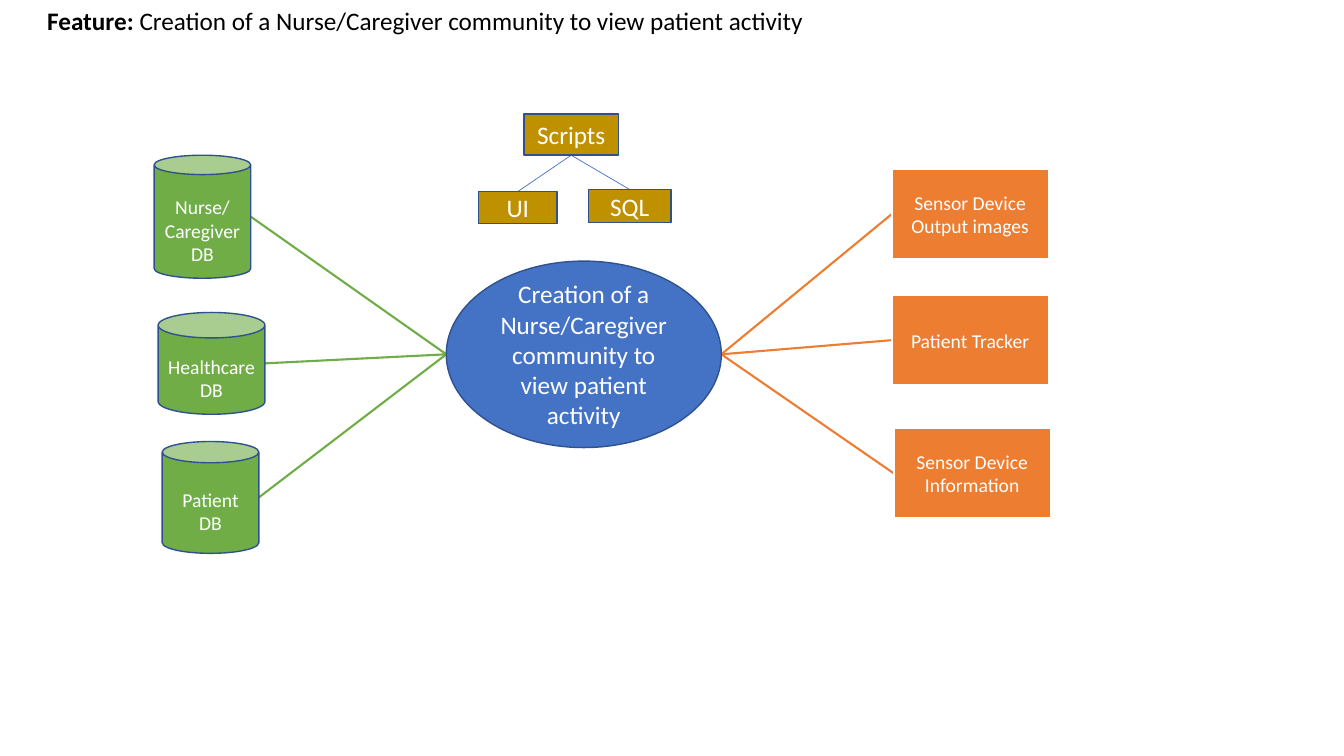
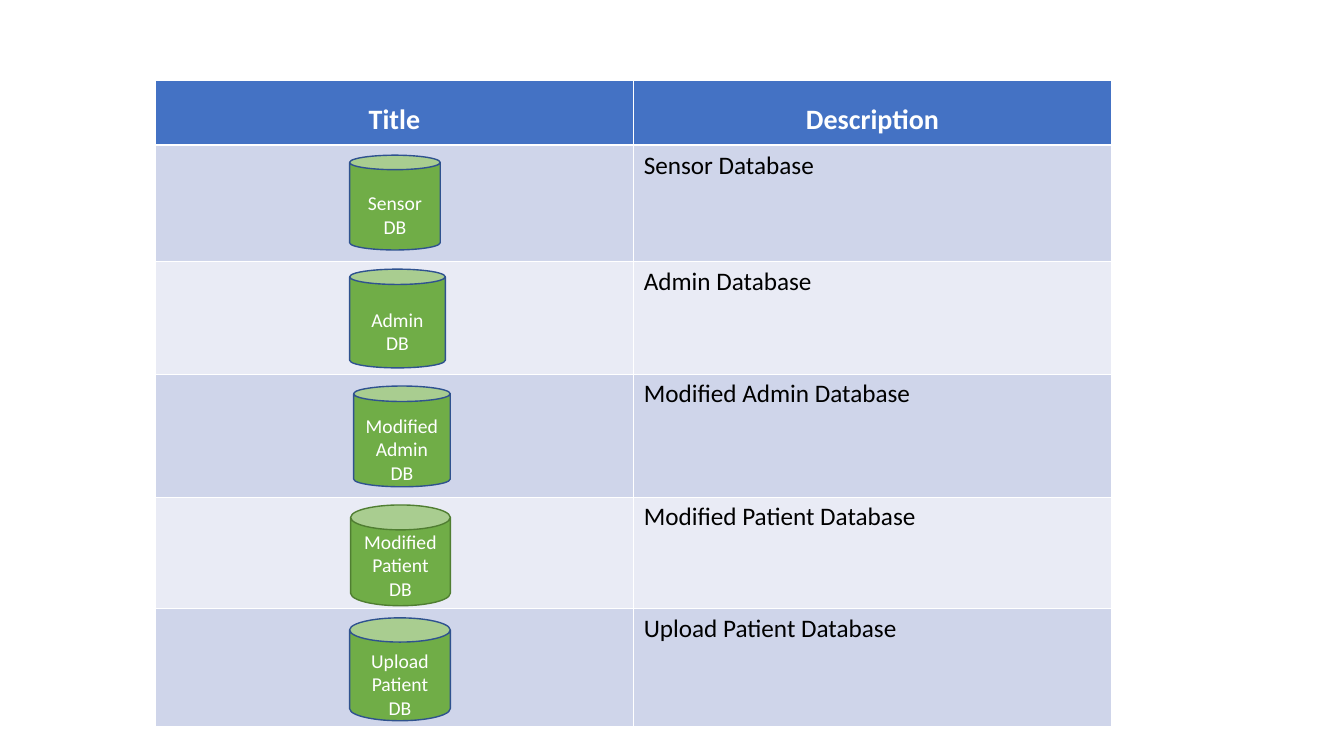
from dataclasses import dataclass

from lxml import etree
from pptx import Presentation
from pptx import util as u
from pptx.dml.color import RGBColor
from pptx.enum import shapes, text
from pptx.oxml import ns

# Layout grid: square cells, ten to the inch
COLS, ROWS = 133.4, 75
CELL = u.Inches(0.1)

FONT = "Calibri"
WHITE, BLACK = "FFFFFF", "000000"
BLUE, NAVY = "4472C4", "2F528F"
GREEN, DARK_GREEN = "70AD47", "507E32"
ORANGE, GOLD = "ED7D31", "BF9000"
BANDS = "CFD5EA", "E9EBF5"

Point = tuple[float, float]


@dataclass(frozen=True)
class Node:
    """A labelled shape, placed in grid columns and rows."""
    label: str
    x: float
    y: float
    w: float
    h: float
    kind: shapes.MSO_SHAPE = shapes.MSO_SHAPE.RECTANGLE
    fill: str = GOLD
    line: str = NAVY
    line_pt: float = 1
    size: int = 18
    lid: float | None = None
    drop: float = 0

    @property
    def left(self) -> Point:
        return self.x, self.y + self.h / 2

    @property
    def right(self) -> Point:
        return self.x + self.w, self.y + self.h / 2

    @property
    def top(self) -> Point:
        return self.x + self.w / 2, self.y

    @property
    def bottom(self) -> Point:
        return self.x + self.w / 2, self.y + self.h


def database(label: str, x: float, y: float, w: float, h: float, lid: float,
             drop: float = 1.7, line: str = NAVY) -> Node:
    """A cylinder whose label is lowered to clear the lid."""
    return Node(label, x, y, w, h, shapes.MSO_SHAPE.CAN, GREEN, line,
                size=14, lid=lid, drop=drop)


def output(label: str, x: float, y: float) -> Node:
    return Node(label, x, y, 15.6, 8.9, fill=ORANGE, line=WHITE, line_pt=1.5, size=14)


FEATURE = "Creation of a Nurse/Caregiver community to view patient activity"
HUB = Node(FEATURE, 44.3, 25.9, 27.3, 18.5, shapes.MSO_SHAPE.OVAL, BLUE)
SCRIPTS = Node("Scripts", 52, 11.3, 9.4, 4.1)
SCRIPT_KINDS = [Node("UI", 47.5, 19, 7.8, 3.2), Node("SQL", 58.4, 18.8, 8.2, 3.3)]
SOURCES = [
    database("Nurse/Caregiver DB", 15.3, 15.4, 9.6, 12.2, 0.2),
    database("Healthcare DB", 15.7, 31, 10.6, 10.1, 0.25),
    database("Patient DB", 16.1, 43.8, 9.6, 11.1, 0.22),
]
OUTPUTS = [
    output("Sensor Device Output images", 88.5, 16.8),
    output("Patient Tracker", 88.5, 29.3),
    output("Sensor Device Information", 88.7, 42.5),
]

TABLE_X, TABLE_Y = 15.4, 8
COLUMN_WIDTHS = 47.5, 47.4
HEADINGS, HEADING_HEIGHT = ("Title", "Description"), 6.4
CATALOGUE = [  # description, row height, cylinder
    ("Sensor Database", 11.5, database("Sensor DB", 34.7, 15.4, 9, 9.4, 0.16)),
    ("Admin Database", 11.2, database("Admin\nDB", 34.7, 26.7, 9.5, 9.8, 0.16)),
    ("Modified Admin Database", 12.2,
     database("Modified Admin DB", 35.1, 38.3, 9.6, 10, 0.16)),
    ("Modified Patient Database", 11.1,
     database("Modified Patient DB", 34.8, 50.1, 9.9, 10, 0.25, 0.7, DARK_GREEN)),
    ("Upload Patient Database", 11.7,
     database("Upload\nPatient DB", 34.7, 61.3, 10, 10.2, 0.24)),
]


def grid(*cells: float) -> list[u.Emu]:
    return [u.Emu(round(c * CELL)) for c in cells]


def rgb(value: str) -> RGBColor:
    return RGBColor.from_string(value)


def style(p, size: int, color: str, bold: bool | None = None) -> None:
    p.font.name, p.font.size, p.font.bold = FONT, u.Pt(size), bold
    p.font.color.rgb = rgb(color)


def draw_node(s, node: Node) -> None:
    sp = s.shapes.add_shape(node.kind, *grid(node.x, node.y, node.w, node.h))
    sp.shadow.inherit = False
    sp.fill.solid()
    sp.fill.fore_color.rgb = rgb(node.fill)
    sp.line.color.rgb = rgb(node.line)
    sp.line.width = u.Pt(node.line_pt)
    if node.lid is not None:
        sp.adjustments[0] = node.lid
    tf = sp.text_frame
    tf.word_wrap = True
    tf.vertical_anchor = text.MSO_ANCHOR.MIDDLE
    tf.margin_top = grid(0.5 + node.drop)[0]
    tf.text = node.label
    for p in tf.paragraphs:
        p.alignment = text.PP_ALIGN.CENTER
        style(p, node.size, WHITE)


def draw_link(s, start: Point, end: Point, color: str, width: float = 1.5) -> None:
    link = s.shapes.add_connector(shapes.MSO_CONNECTOR.STRAIGHT, *grid(*start, *end))
    link.line.color.rgb = rgb(color)
    link.line.width = u.Pt(width)
    etree.SubElement(link._element.spPr, ns.qn("a:effectLst"))


def draw_title(s, lead: str, title: str) -> None:
    tf = s.shapes.add_textbox(*grid(3.7, 0, 124.8, 13)).text_frame
    tf.word_wrap = True
    p = tf.paragraphs[0]
    style(p, 18, BLACK)
    r = p.add_run()
    r.text, r.font.bold = lead, True
    p.add_run().text = title


def set_borders(cell, top: float, bottom: float) -> None:
    """White cell edges; call before filling, since fills follow edges."""
    tc_pr = cell._tc.get_or_add_tcPr()
    for side, width in (("L", 0.45), ("R", 0.45), ("T", top), ("B", bottom)):
        ln = etree.SubElement(tc_pr, ns.qn(f"a:ln{side}"), w=str(u.Pt(width)))
        fill = etree.SubElement(ln, ns.qn("a:solidFill"))
        etree.SubElement(fill, ns.qn("a:srgbClr"), val=WHITE)


def draw_table(s) -> None:
    heights = [HEADING_HEIGHT] + [height for _, height, _ in CATALOGUE]
    rows = [HEADINGS] + [("", description) for description, _, _ in CATALOGUE]
    frame = s.shapes.add_table(
        len(rows), len(COLUMN_WIDTHS),
        *grid(TABLE_X, TABLE_Y, sum(COLUMN_WIDTHS), sum(heights)))
    table = frame.table
    for column, width in zip(table.columns, grid(*COLUMN_WIDTHS)):
        column.width = width
    for i, (row, height, labels) in enumerate(zip(table.rows, grid(*heights), rows)):
        row.height = height
        heading = i == 0
        for cell, label in zip(row.cells, labels):
            set_borders(cell, 1.47 if i == 1 else 0.45, 1.47 if heading else 0.45)
            cell.fill.solid()
            cell.fill.fore_color.rgb = rgb(BLUE if heading else BANDS[(i - 1) % 2])
            cell.text = label
            p = cell.text_frame.paragraphs[0]
            if heading:
                p.alignment, p.line_spacing = text.PP_ALIGN.CENTER, 1.5
                style(p, 20, WHITE, True)
            else:
                style(p, 18, BLACK, False)


def build_feature_map(s) -> None:
    for source in SOURCES:
        draw_link(s, source.right, HUB.left, GREEN)
    for target in OUTPUTS:
        draw_link(s, HUB.right, target.left, ORANGE)
    for kind in SCRIPT_KINDS:
        draw_link(s, SCRIPTS.bottom, kind.top, BLUE, 0.5)
    for node in [HUB, SCRIPTS, *SCRIPT_KINDS, *SOURCES, *OUTPUTS]:
        draw_node(s, node)
    draw_title(s, "Feature: ", FEATURE)


def build_catalogue(s) -> None:
    draw_table(s)
    for _, _, cylinder in CATALOGUE:
        draw_node(s, cylinder)


def main() -> None:
    prs = Presentation()
    prs.slide_width, prs.slide_height = grid(COLS, ROWS)
    for build in (build_feature_map, build_catalogue):
        build(prs.slides.add_slide(prs.slide_layouts[6]))
    prs.save("out.pptx")


if __name__ == "__main__":
    main()
